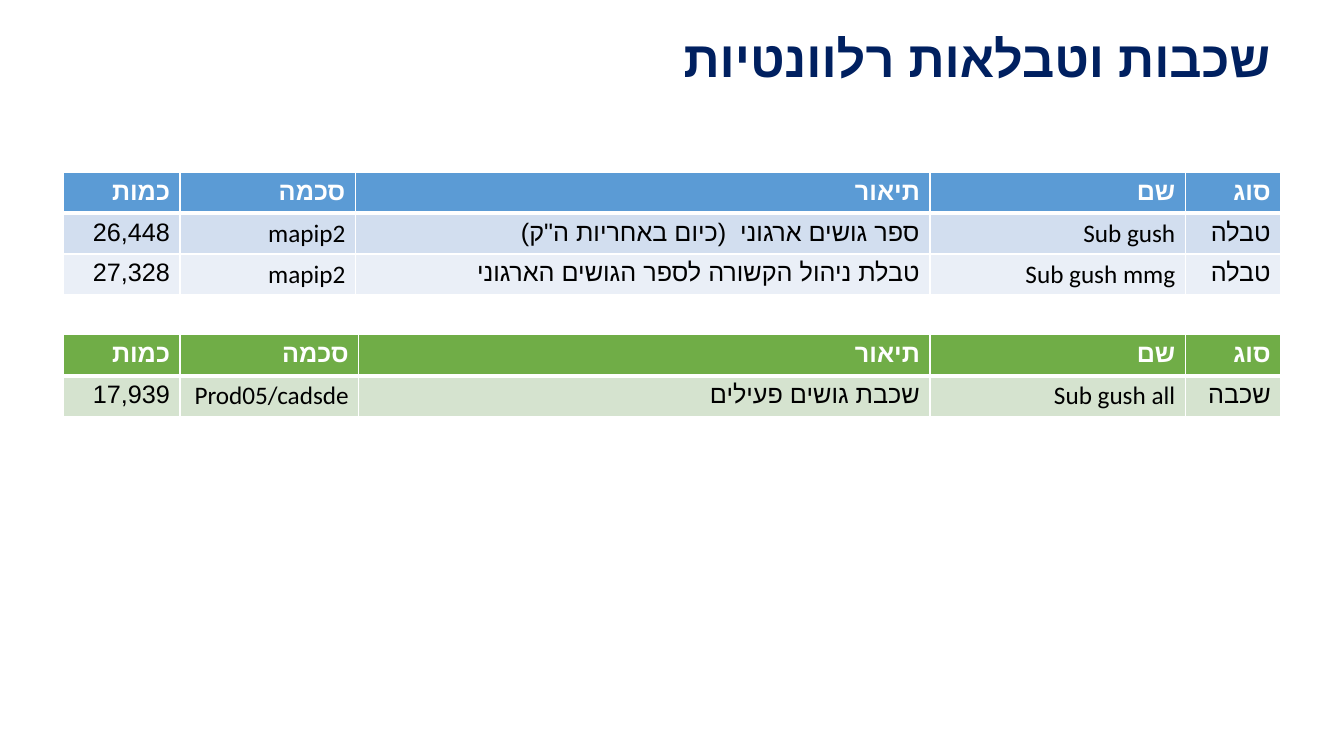
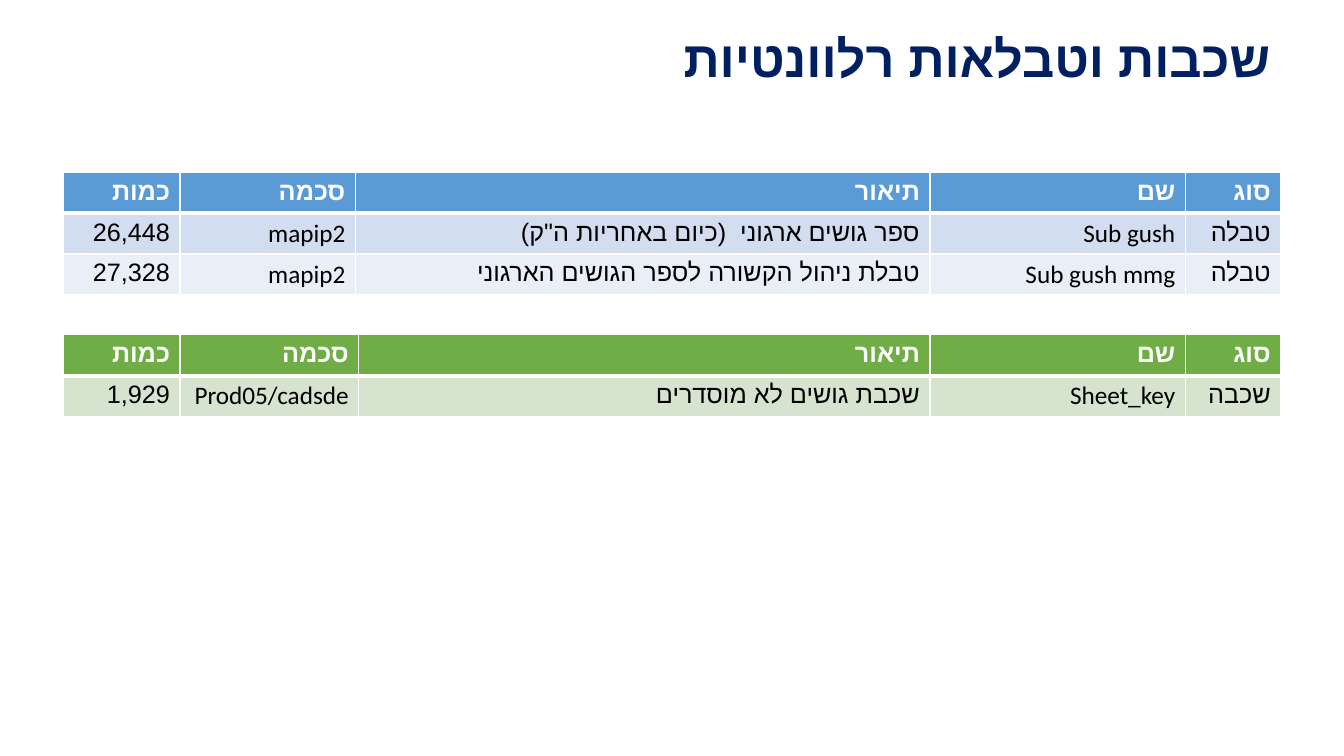
from lxml import etree
from pptx import Presentation
from pptx.dml.color import RGBColor
from pptx.enum.text import MSO_ANCHOR, PP_ALIGN
from pptx.oxml.ns import qn
from pptx.util import Inches, Pt

RIGHT = PP_ALIGN.RIGHT
MIDDLE = MSO_ANCHOR.MIDDLE
WHITE, BLACK, NAVY = "FFFFFF", "000000", "002060"
BLUE = ("5B9BD5", "D2DEEF", "EAEFF7")
GREEN = ("70AD47", "D5E3CF")
HEADS = ["כמות", "סכמה", "תיאור", "שם", "סוג"]
LEFT, WIDTH, ROW = 4.7, 90.6, 5.4
TABLE_COLS = (8.7, 13.05, 42.75, 19, 7.1)
LAYER_COLS = (8.7, 13.3, 42.5, 19, 7.1)


def paint(code):
    return RGBColor.from_string(code)


class Deck:
    face, script = "Calibri", "Arial"
    title_font = {"size": Pt(36), "bold": True}
    head_font = {"size": Pt(18), "bold": True}
    body_font = {"size": Pt(18), "bold": False}

    def __init__(self):
        self.show = Presentation()
        self.show.slide_width = Inches(13.33)
        self.show.slide_height = Inches(7.5)
        self.slide = None

    def x(self, share):
        return round(self.show.slide_width * share / 100)

    def y(self, share):
        return round(self.show.slide_height * share / 100)

    def label(self, frame, text, look, color, rtl=True):
        line = frame.paragraphs[0]
        line.alignment = RIGHT
        line._p.get_or_add_pPr().set("rtl", str(int(rtl)))
        run = line.add_run()
        run.text = text
        for name, value in look.items():
            setattr(run.font, name, value)
        run.font.name = self.face
        run.font.color.rgb = paint(color)
        etree.SubElement(run._r.get_or_add_rPr(), qn("a:cs"), typeface=self.script)
        return line

    def page(self, text):
        self.slide = self.show.slides.add_slide(self.show.slide_layouts[5])
        title = self.slide.shapes.title
        place = {"left": self.x(LEFT), "top": self.y(3.6),
                 "width": self.x(WIDTH), "height": self.y(9.1)}
        for name, value in place.items():
            setattr(title, name, value)
        frame = title.text_frame
        frame.word_wrap = True
        frame.vertical_anchor = MIDDLE
        self.label(frame, text, self.title_font, NAVY).line_spacing = 0.9

    def edge(self, cell, sides):
        props = cell._tc.get_or_add_tcPr()
        for side, size in sides.items():
            line = etree.SubElement(props, qn("a:ln" + side), w=str(Pt(size)))
            fill = etree.SubElement(line, qn("a:solidFill"))
            etree.SubElement(fill, qn("a:srgbClr"), val=WHITE)

    def table(self, top, cols, fills, rows):
        rows = [HEADS] + rows
        grid = self.slide.shapes.add_table(
            len(rows), len(cols), self.x(LEFT), self.y(top),
            self.x(WIDTH), self.y(ROW * len(rows))).table
        for col, share in zip(grid.columns, cols):
            col.width = self.x(share)
        for r, (row, fill) in enumerate(zip(rows, fills)):
            grid.rows[r].height = self.y(ROW)
            look, color = (self.body_font, BLACK) if r else (self.head_font, WHITE)
            sides = {"L": 1, "R": 1, "T": 3 if r == 1 else 1, "B": 1 if r else 3}
            for c, text in enumerate(row):
                cell = grid.cell(r, c)
                self.edge(cell, sides)
                cell.fill.solid()
                cell.fill.fore_color.rgb = paint(fill)
                rtl = r > 0 and c < len(cols) - 1
                self.label(cell.text_frame, text, look, color, rtl)


BOOKS = [
    ["26,448", "mapip2", "ספר גושים ארגוני  (כיום באחריות ה\"ק)", "Sub gush", "טבלה"],
    ["27,328", "mapip2", "טבלת ניהול הקשורה לספר הגושים הארגוני", "Sub gush mmg", "טבלה"],
]
LAYERS = [
    ["17,939", "Prod05/cadsde", "שכבת גושים פעילים", "Sub gush all", "שכבה"],
    ["1,929", "Prod05/cadsde", "שכבת גושים לא מוסדרים", "Sheet_key", "שכבה"],
]

deck = Deck()
for layer in LAYERS:
    deck.page("שכבות וטבלאות רלוונטיות")
    deck.table(22.8, TABLE_COLS, BLUE, BOOKS)
    deck.table(44.3, LAYER_COLS, GREEN, [layer])
deck.show.save("out.pptx")
